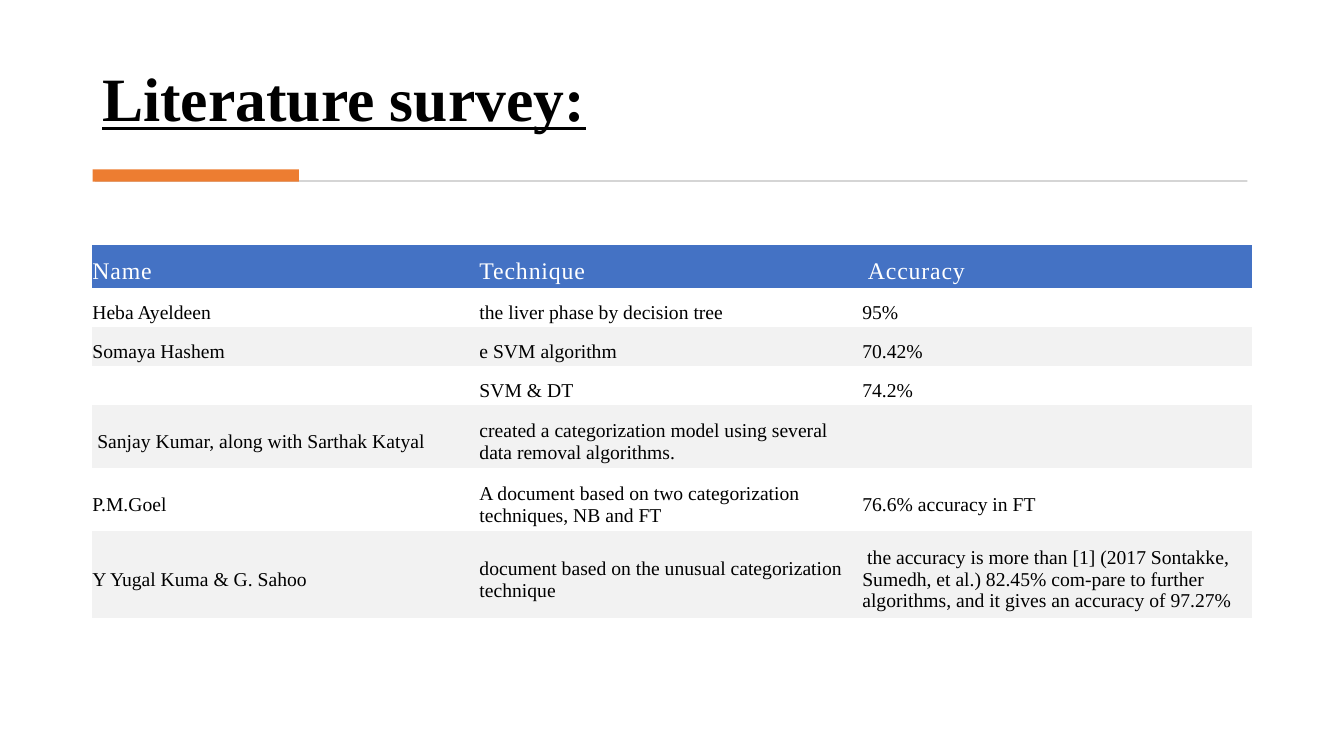
from dataclasses import dataclass

from pptx import Presentation
from pptx.dml.color import RGBColor
from pptx.enum.shapes import MSO_SHAPE as Shape
from pptx.enum.text import MSO_ANCHOR as Anchor
from pptx.oxml.ns import qn
from pptx.util import Pt


@dataclass(frozen=True)
class Theme:
    font: str = "Times New Roman"
    ink: str = "000000"
    white: str = "FFFFFF"
    header: str = "4472C4"
    band: str = "F2F2F2"
    rule: str = "D5D5D5"
    accent: str = "ED7D31"
    title_size: float = 44
    header_size: float = 17
    body_size: float = 14
    plain_table: str = "{2D5ABB26-0587-4C30-8999-92F81FD0307C}"


def write(p, text, *, font, size, color, bold=False, underline=False, spacing=0):
    """Add one formatted run to a paragraph; spacing is in points."""
    r = p.add_run()
    r.text = text
    f = r.font
    f.name, f.size, f.bold, f.underline = font, Pt(size), bold, underline
    f.color.rgb = RGBColor.from_string(color)
    if spacing:
        r._r.get_or_add_rPr().set("spc", str(round(spacing * 100)))


class SlideBuilder:
    def __init__(self, slide, theme):
        self.s, self.theme = slide, theme

    def title(self, text, x, y, w, h):
        t = self.theme
        tf = self.s.shapes.add_textbox(Pt(x), Pt(y), Pt(w), Pt(h)).text_frame
        tf.word_wrap = True
        tf.vertical_anchor = Anchor.BOTTOM
        p = tf.paragraphs[0]
        p.line_spacing = 0.9
        write(p, text, font=t.font, size=t.title_size, color=t.ink,
              bold=True, underline=True)

    def bar(self, color, x, y, w, h):
        sp = self.s.shapes.add_shape(Shape.RECTANGLE, Pt(x), Pt(y), Pt(w), Pt(h))
        sp.shadow.inherit = False
        sp.fill.solid()
        sp.fill.fore_color.rgb = RGBColor.from_string(color)
        sp.line.fill.background()

    def table(self, rows, x, y, widths, heights):
        frame = self.s.shapes.add_table(
            len(rows), len(widths), Pt(x), Pt(y), Pt(sum(widths)), Pt(sum(heights)))
        for style in frame.element.iter(qn("a:tableStyleId")):
            style.text = self.theme.plain_table
        table = frame.table
        table.horz_banding = False
        for column, width in zip(table.columns, widths):
            column.width = Pt(width)
        for i, (row, height) in enumerate(zip(rows, heights)):
            table.rows[i].height = Pt(height)
            for j, text in enumerate(row):
                self.cell(table.cell(i, j), text, i)

    def cell(self, cell, text, row):
        t = self.theme
        is_header = row == 0
        cell.vertical_anchor = Anchor.MIDDLE
        cell.margin_left = cell.margin_right = cell.margin_bottom = 0
        cell.margin_top = Pt(7.2 if text else 0)
        # Header, then every second body row is shaded
        if row % 2 == 0:
            cell.fill.solid()
            cell.fill.fore_color.rgb = RGBColor.from_string(
                t.header if is_header else t.band)
        else:
            cell.fill.background()
        if text:
            write(cell.text_frame.paragraphs[0], text, font=t.font,
                  size=t.header_size if is_header else t.body_size,
                  color=t.white if is_header else t.ink,
                  spacing=0.6 if is_header else 0)


SURVEY = [
    ("Name", "Technique", " Accuracy"),
    ("Heba Ayeldeen", "the liver phase by decision tree", "95%"),
    ("Somaya Hashem", "e SVM algorithm", "70.42%"),
    ("", "SVM & DT", "74.2%"),
    (" Sanjay Kumar, along with Sarthak Katyal",
     "created a categorization model using several data removal algorithms.", ""),
    ("P.M.Goel", "A document based on two categorization techniques, NB and FT",
     "76.6% accuracy in FT"),
    ("Y Yugal Kuma & G. Sahoo",
     "document based on the unusual categorization technique",
     " the accuracy is more than [1] (2017 Sontakke, Sumedh, et al.) 82.45% "
     "com-pare to further algorithms, and it gives an accuracy of 97.27%"),
    ("", "", ""),
]


def main():
    prs = Presentation()
    prs.slide_width, prs.slide_height = Pt(960), Pt(540)
    theme = Theme()
    slide = SlideBuilder(prs.slides.add_slide(prs.slide_layouts[6]), theme)

    # Heading
    slide.title("Literature survey:", 66, 20, 827, 80)

    # Divider with accent
    slide.bar(theme.rule, 68, 128.6, 823, 1.4)
    slide.bar(theme.accent, 66.2, 121, 147.4, 8.8)

    # Survey table
    one_line, two_lines, three_lines = 27.9, 45, 62
    slide.table(SURVEY, 66, 175, widths=(276.5, 273.5, 278.5),
                heights=(30.8, *[one_line] * 3, *[two_lines] * 2, three_lines, 30))

    prs.save("out.pptx")


if __name__ == "__main__":
    main()
